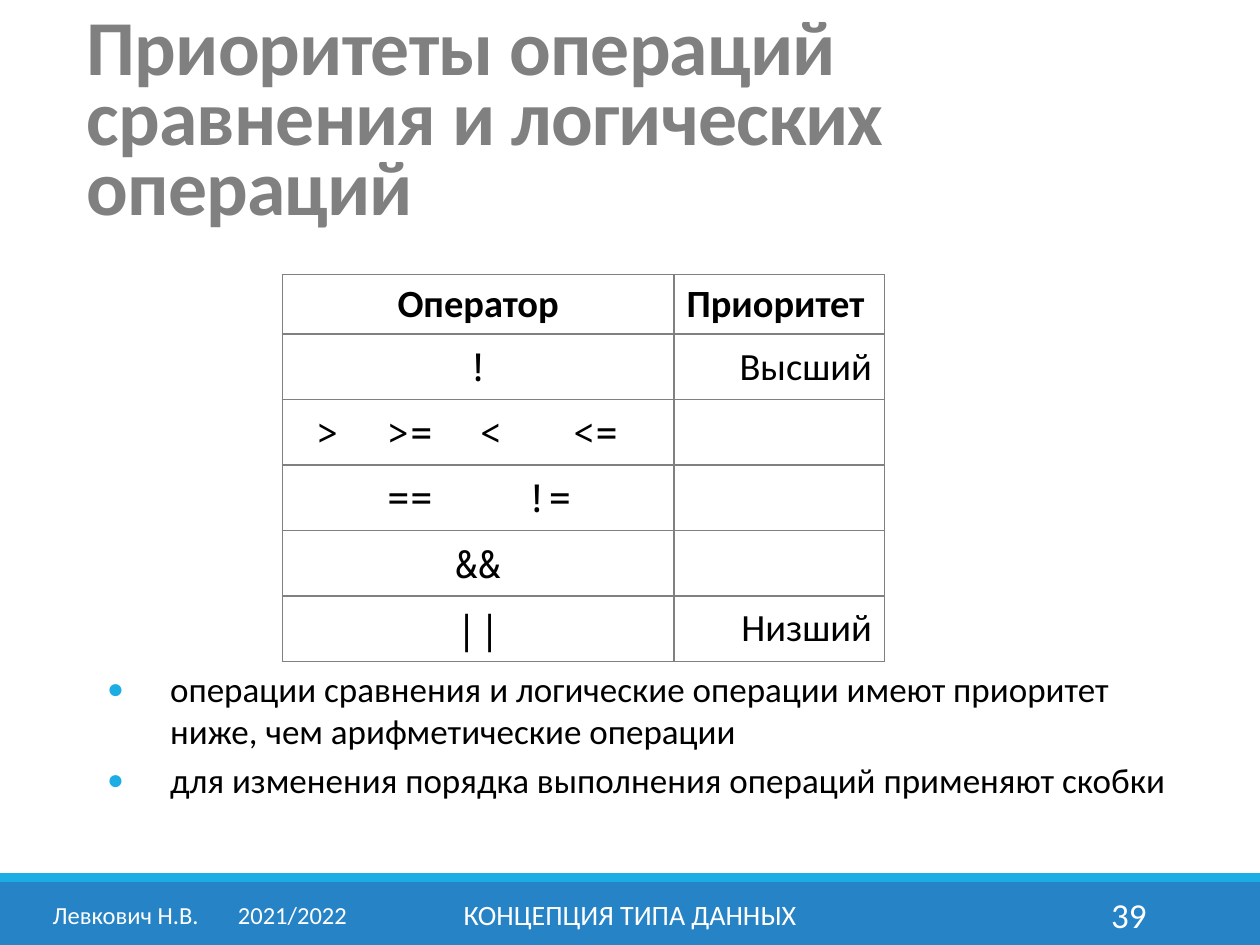
from dataclasses import dataclass

from lxml import etree
from pptx import Presentation
from pptx.dml.color import RGBColor
from pptx.enum.shapes import MSO_SHAPE
from pptx.enum.text import MSO_ANCHOR, MSO_AUTO_SIZE, PP_ALIGN
from pptx.oxml.ns import qn
from pptx.util import Inches, Pt

LEFT, CENTER, RIGHT = PP_ALIGN.LEFT, PP_ALIGN.CENTER, PP_ALIGN.RIGHT
MIDDLE, TOP = MSO_ANCHOR.MIDDLE, MSO_ANCHOR.TOP
NO_FIT = MSO_AUTO_SIZE.NONE
RECTANGLE = MSO_SHAPE.RECTANGLE

BLUE = RGBColor(0x26, 0x83, 0xC6)
CYAN = RGBColor(0x1C, 0xAD, 0xE4)
GRAY = RGBColor(0x80, 0x80, 0x80)
WHITE = RGBColor(0xFF, 0xFF, 0xFF)
BLACK = RGBColor(0x00, 0x00, 0x00)
SANS, MONO = "Calibri", "Noto Sans Mono"


@dataclass(frozen=True)
class Band:
    top: float
    height: float
    color: RGBColor


@dataclass(frozen=True)
class FooterItem:
    text: str
    left: float
    width: float
    size: int
    align: PP_ALIGN
    tabs: tuple[float, ...] = ()


@dataclass(frozen=True)
class Entry:
    text: str = ""
    align: PP_ALIGN = CENTER
    font: str = SANS
    bold: bool = False
    margin: float = 0.1
    tabs: tuple[float, ...] = ()


BANDS = [Band(7, 0.5, BLUE), Band(6.93, 0.07, CYAN)]
FOOTER = [
    FooterItem("КОНЦЕПЦИЯ ТИПА ДАННЫХ", 3.02, 3.96, 16, CENTER),
    FooterItem("39", 8.12, 1.08, 20, RIGHT),
    FooterItem("Левкович Н.В.\t2021/2022", 0.32, 2.61, 14, LEFT, (1.47,)),
]
PRIORITIES = [
    (Entry("Оператор", bold=True), Entry("Приоритет", LEFT, bold=True)),
    (Entry("!", font=MONO), Entry("Высший", RIGHT)),
    (Entry(">\t>=\t<\t<=", LEFT, MONO, margin=0.27, tabs=(0.56, 1.29, 2.03)), Entry()),
    (Entry("==\t!=", LEFT, MONO, margin=0.83, tabs=(1.1,)), Entry()),
    (Entry("&&", font=MONO), Entry()),
    (Entry("||", font=MONO), Entry("Низший", RIGHT)),
]
COLUMN_WIDTHS = (3.11, 1.67)
HEADER_HEIGHT, ROW_HEIGHT = 0.47, 0.52
NOTES = [
    "операции сравнения и логические операции имеют приоритет ниже, чем арифметические операции",
    "для изменения порядка выполнения операций применяют скобки",
]


def set_attributes(target, formats: dict) -> None:
    for name, value in formats.items():
        setattr(target, name, value)


def add_child(parent, tag: str, **attributes: str):
    return etree.SubElement(parent, qn(tag), attributes)


def add_tabs(paragraph, stops: tuple[float, ...]) -> None:
    if stops:
        tab_list = add_child(paragraph._p.get_or_add_pPr(), "a:tabLst")
        for stop in stops:
            add_child(tab_list, "a:tab", pos=str(Inches(stop)), algn="l")


def add_bullet(paragraph) -> None:
    properties = paragraph._p.get_or_add_pPr()
    properties.set("marL", str(Inches(0.5)))
    properties.set("indent", str(Inches(-0.5)))
    bullet_color = add_child(properties, "a:buClr")
    add_child(bullet_color, "a:srgbClr", val=str(CYAN))
    add_child(properties, "a:buSzPct", val="80000")
    add_child(properties, "a:buChar", char="●")


def write(paragraph, text: str, size: float, color: RGBColor,
          align: PP_ALIGN = LEFT, font: str = SANS, bold: bool = False):
    paragraph.alignment = align
    run = paragraph.add_run()
    run.text = text
    set_attributes(run.font, {"name": font, "size": Pt(size), "bold": bold})
    run.font.color.rgb = color
    return run


def place(shape, left: float, top: float, width: float, height: float) -> None:
    set_attributes(shape, {"left": Inches(left), "top": Inches(top),
                           "width": Inches(width), "height": Inches(height)})


def set_frame(frame, anchor: MSO_ANCHOR) -> None:
    set_attributes(frame, {"word_wrap": True, "auto_size": NO_FIT, "vertical_anchor": anchor})


def add_band(slide, band: Band) -> None:
    bar = slide.shapes.add_shape(RECTANGLE, 0, Inches(band.top), Inches(10), Inches(band.height))
    bar.shadow.inherit = False
    bar.fill.solid()
    bar.fill.fore_color.rgb = band.color
    bar.line.fill.background()


def add_footer_item(slide, item: FooterItem) -> None:
    frame = slide.shapes.add_textbox(
        Inches(item.left), Inches(7.06), Inches(item.width), Inches(0.4)).text_frame
    set_frame(frame, MIDDLE)
    add_tabs(frame.paragraphs[0], item.tabs)
    write(frame.paragraphs[0], item.text, item.size, WHITE, item.align)


def fill_title(title) -> None:
    place(title, 0.59, 0.36, 8.92, 1.26)
    set_frame(title.text_frame, MIDDLE)
    heading = title.text_frame.paragraphs[0]
    heading.line_spacing = 0.75
    run = write(heading, "Приоритеты операций сравнения и логических операций",
                44.4, GRAY, bold=True)
    run._r.get_or_add_rPr().set("spc", "-50")


def fill_notes(body) -> None:
    place(body, 0.75, 5.25, 8.66, 1.5)
    frame = body.text_frame
    set_frame(frame, TOP)
    for index, note in enumerate(NOTES):
        paragraph = frame.add_paragraph() if index else frame.paragraphs[0]
        add_bullet(paragraph)
        add_tabs(paragraph, (2.84,))
        paragraph.space_before = Pt(4 if index else 0)
        write(paragraph, note, 20, BLACK)


def format_cell(cell, entry: Entry) -> None:
    set_attributes(cell, {"vertical_anchor": MIDDLE, "margin_left": Inches(entry.margin)})
    properties = cell._tc.get_or_add_tcPr()
    for side in ("a:lnL", "a:lnR", "a:lnT", "a:lnB"):
        border_fill = add_child(add_child(properties, side, w=str(Pt(1))), "a:solidFill")
        add_child(border_fill, "a:srgbClr", val=str(GRAY))
    cell.fill.solid()
    cell.fill.fore_color.rgb = WHITE
    if entry.text:
        paragraph = cell.text_frame.paragraphs[0]
        add_tabs(paragraph, entry.tabs)
        write(paragraph, entry.text, 22, BLACK, entry.align, entry.font, entry.bold)


def add_priorities(slide) -> None:
    heights = [HEADER_HEIGHT] + [ROW_HEIGHT] * (len(PRIORITIES) - 1)
    table = slide.shapes.add_table(
        len(PRIORITIES), len(COLUMN_WIDTHS), Inches(2.24), Inches(2.18),
        Inches(sum(COLUMN_WIDTHS)), Inches(sum(heights))).table
    set_attributes(table, {"first_row": False, "horz_banding": False})
    for column, width in zip(table.columns, COLUMN_WIDTHS):
        column.width = Inches(width)
    for row, height, entries in zip(table.rows, heights, PRIORITIES):
        row.height = Inches(height)
        for cell, entry in zip(row.cells, entries):
            format_cell(cell, entry)


def main() -> None:
    deck = Presentation()
    set_attributes(deck, {"slide_width": Inches(10), "slide_height": Inches(7.5)})
    slide = deck.slides.add_slide(deck.slide_layouts[1])
    for band in BANDS:
        add_band(slide, band)
    fill_title(slide.shapes.title)
    add_priorities(slide)
    fill_notes(slide.placeholders[1])
    for item in FOOTER:
        add_footer_item(slide, item)
    deck.save("out.pptx")


if __name__ == "__main__":
    main()
